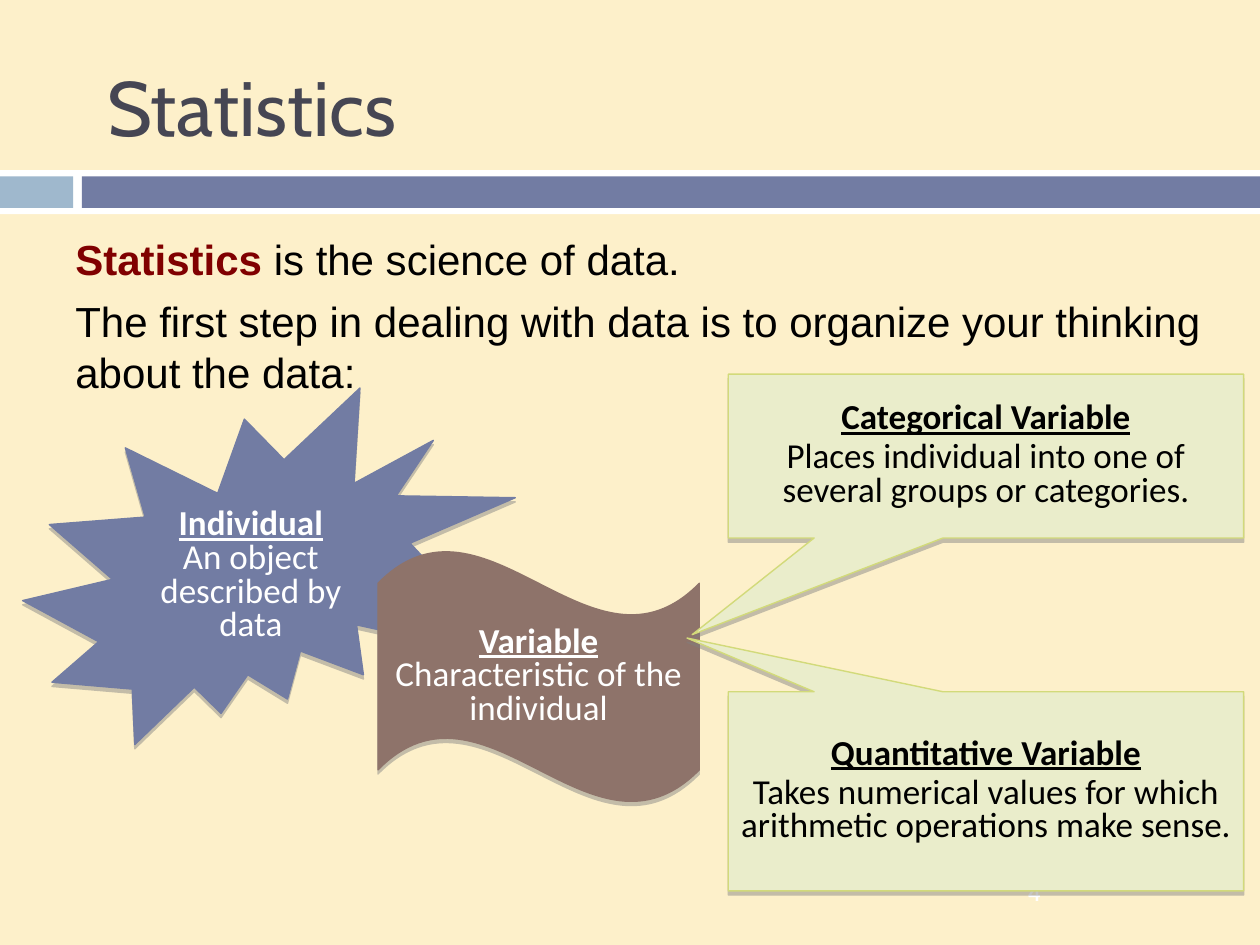
import pptx
import pptx.util
import pptx.dml.color
import pptx.enum.shapes
import pptx.enum.text
import pptx.oxml
import pptx.oxml.ns
from lxml import etree

COLS, ROWS = 100, 75
SLIDE_W, SLIDE_H = pptx.util.Inches(10), pptx.util.Inches(7.5)
COLORS = {
    "background": "FDF0CA", "white": "FFFFFF", "black": "000000",
    "sky": "9FB8CD", "slate": "727CA3", "title": "464653", "maroon": "800000",
    "brown": "8E736A", "lime": "EAEDCB", "lime_edge": "D2DA7A", "shadow": "808080",
}
MSO = pptx.enum.shapes.MSO_SHAPE
ALIGN = pptx.enum.text.PP_ALIGN
MIDDLE = pptx.enum.text.MSO_ANCHOR.MIDDLE


def rgb(name):
    return pptx.dml.color.RGBColor.from_string(COLORS[name])


def emu(box):
    """Turn a (column, row, columns, rows) box into slide lengths."""
    x, y, w, h = box
    return (round(x * SLIDE_W / COLS), round(y * SLIDE_H / ROWS),
            round(w * SLIDE_W / COLS), round(h * SLIDE_H / ROWS))


def add_run(p, text, size, font, color, bold=False, underline=False):
    r = p.add_run()
    r.text = text
    r.font.size = pptx.util.Pt(size)
    r.font.name = font
    r.font.color.rgb = rgb(color)
    r.font.bold = bold
    r.font.underline = underline


def add_filled(slide, kind, box, fill, edge=None):
    sp = slide.shapes.add_shape(kind, *emu(box))
    sp.shadow.inherit = False
    sp.fill.solid()
    sp.fill.fore_color.rgb = rgb(fill)
    if edge:
        sp.line.color.rgb = rgb(edge)
        sp.line.width = pptx.util.Pt(0.79)
    else:
        sp.line.fill.background()
    return sp


def add_drop_shadow(sp):
    effects = sp._element.spPr.find(pptx.oxml.ns.qn("a:effectLst"))
    shadow = etree.SubElement(effects, pptx.oxml.ns.qn("a:outerShdw"), blurRad="0",
                              dist=str(pptx.util.Pt(2.4)), dir="5400000",
                              algn="ctr", rotWithShape="0")
    color = etree.SubElement(shadow, pptx.oxml.ns.qn("a:srgbClr"), val=COLORS["shadow"])
    etree.SubElement(color, pptx.oxml.ns.qn("a:alpha"), val="45000")


def add_band(slide, box):
    x, y, w, h = box
    margin, tab, start = 0.5, 5.8, 6.5
    add_filled(slide, MSO.RECTANGLE, box, "white")
    add_filled(slide, MSO.RECTANGLE, (x, y + margin, tab, h - 2 * margin), "sky")
    add_filled(slide, MSO.RECTANGLE,
               (x + start, y + margin, w - start, h - 2 * margin), "slate")


def add_title(slide, box, text):
    title = slide.shapes.title
    title.left, title.top, title.width, title.height = emu(box)
    tf = title.text_frame
    tf.auto_size = pptx.enum.text.MSO_AUTO_SIZE.NONE
    tf.vertical_anchor = MIDDLE
    p = tf.paragraphs[0]
    p.alignment = ALIGN.LEFT
    add_run(p, text, 44, "Cabin", "title")


def add_page_number(slide, box, number):
    tf = slide.shapes.add_textbox(*emu(box)).text_frame
    tf.word_wrap = True
    tf.vertical_anchor = MIDDLE
    p = tf.paragraphs[0]
    p.alignment = ALIGN.CENTER
    add_run(p, number, 14, "Calibri", "white", bold=True)


def add_intro(slide, box):
    tf = slide.shapes.add_textbox(*emu(box)).text_frame
    tf.word_wrap = True
    p = tf.paragraphs[0]
    add_run(p, "Statistics ", 24, "Arial", "maroon", bold=True)
    add_run(p, "is the science of data.", 24, "Arial", "black")
    p = tf.add_paragraph()
    p.space_before = pptx.util.Pt(7)
    add_run(p, "The first step in dealing with data is to organize your thinking "
               "about the data:", 24, "Arial", "black")


def add_definition(slide, kind, box, term, meaning, fill, edge, ink,
                   adjustments=(), term_spacing=0.8, gap=0):
    """Add a shadowed shape with an underlined term above its meaning."""
    sp = add_filled(slide, kind, box, fill, edge)
    add_drop_shadow(sp)
    for i, value in enumerate(adjustments):
        sp.adjustments[i] = value
    tf = sp.text_frame
    tf.word_wrap = True
    tf.vertical_anchor = MIDDLE
    p = tf.paragraphs[0]
    p.alignment = ALIGN.CENTER
    p.line_spacing = term_spacing
    add_run(p, term, 20, "Calibri", ink, bold=True, underline=True)
    p = tf.add_paragraph()
    p.alignment = ALIGN.CENTER
    p.line_spacing = 0.8
    p.space_before = pptx.util.Pt(gap)
    add_run(p, meaning, 20, "Calibri", ink)


def add_variable_types(slide, left, width):
    types = [
        (29.7, 13, (-0.57, 1.09), "Categorical Variable",
         "Places individual into one of several groups or categories."),
        (54.9, 15.8, (-0.58, -0.77), "Quantitative Variable",
         "Takes numerical values for which arithmetic operations make sense."),
    ]
    for top, height, pointer, term, meaning in types:
        add_definition(slide, MSO.RECTANGULAR_CALLOUT, (left, top, width, height),
                       term, meaning, "lime", "lime_edge", "black", pointer, gap=3)


def main():
    prs = pptx.Presentation()
    prs.slide_width, prs.slide_height = SLIDE_W, SLIDE_H
    slide = prs.slides.add_slide(prs.slide_layouts[5])
    slide.background.fill.solid()
    slide.background.fill.fore_color.rgb = rgb("background")

    add_band(slide, (0, 13.5, 100, 3.5))
    add_page_number(slide, (71.7, 68.3, 20.8, 5), "4")
    add_intro(slide, (5, 18, 92, 15.2))
    add_title(slide, (7.5, 1.7, 85, 13.3), "Statistics")
    add_definition(slide, MSO.EXPLOSION2, (1.8, 30.8, 39.1, 28.3), "Individual",
                   "An object described by data", "slate", "slate", "white",
                   term_spacing=1.0)
    add_definition(slide, MSO.WAVE, (30, 43.7, 25.5, 20), "Variable",
                   "Characteristic of the individual", "brown", "brown", "white",
                   (0.13, 0))
    add_variable_types(slide, 57.8, 40.9)
    prs.save("out.pptx")


if __name__ == "__main__":
    main()
